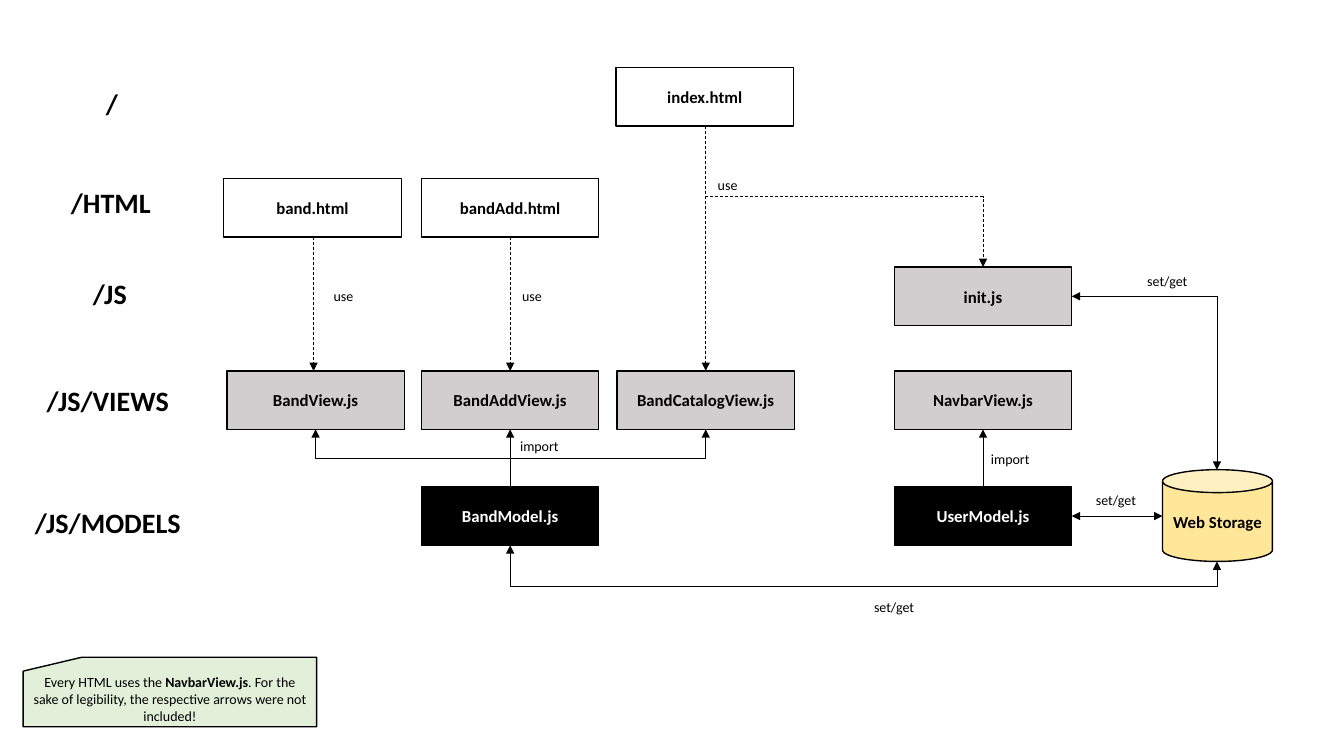
"""Draw the file map of the band site."""
from dataclasses import dataclass

import pptx
import pptx.util
import pptx.dml.color
import pptx.enum.dml
import pptx.enum.shapes
import pptx.enum.text
import pptx.oxml.ns
import pptx.oxml.xmlchemy

Inches = pptx.util.Inches
Kind = pptx.enum.shapes.MSO_SHAPE
Link = pptx.enum.shapes.MSO_CONNECTOR
Align = pptx.enum.text.PP_ALIGN
Node = pptx.oxml.xmlchemy.OxmlElement


@dataclass(frozen=True)
class Theme:
    """Hold colours, type and line sizes."""
    font: str = "Calibri"
    ink: str = "000000"
    page: str = "FFFFFF"
    view: str = "D0CECE"
    store: str = "FFE699"
    note: str = "E2F0D9"
    head: int = 20
    name: int = 12
    small: int = 10
    edge: float = 1
    wire: float = 0.5


def rgb(code):
    """Turn a hex code into a colour."""
    return pptx.dml.color.RGBColor.from_string(code)


def write(frame, text, font, size, color, bold=False, align=Align.LEFT):
    """Fill a frame with text; parts between bars switch the weight."""
    frame.word_wrap = True
    para = frame.paragraphs[0]
    para.alignment = align
    for i, part in enumerate(text.split("|")):
        run = para.add_run()
        run.text = part
        run.font.name = font
        run.font.size = pptx.util.Pt(size)
        run.font.bold = bold != bool(i % 2)
        run.font.color.rgb = rgb(color)


class Chart:
    """Draw styled parts on one slide."""

    def __init__(self, slide, theme):
        """Keep the slide and its theme."""
        self.shapes = slide.shapes
        self.theme = theme

    def box(self, text, x, y, w, h, fill, kind=Kind.RECTANGLE, **form):
        """Add a filled shape with centred text."""
        t = self.theme
        shape = self.shapes.add_shape(kind, Inches(x), Inches(y), Inches(w), Inches(h))
        shape.shadow.inherit = False
        shape.fill.solid()
        shape.fill.fore_color.rgb = rgb(fill)
        shape.line.color.rgb = rgb(t.ink)
        shape.line.width = pptx.util.Pt(t.edge)
        shape.text_frame.vertical_anchor = pptx.enum.text.MSO_ANCHOR.MIDDLE
        form = {"size": t.name, "color": t.ink, "bold": True} | form
        write(shape.text_frame, text, font=t.font, align=Align.CENTER, **form)

    def label(self, text, x, y, w=0.85, h=0.27, **form):
        """Add a plain text box."""
        t = self.theme
        frame = self.shapes.add_textbox(Inches(x), Inches(y), Inches(w), Inches(h)).text_frame
        frame.auto_size = pptx.enum.text.MSO_AUTO_SIZE.SHAPE_TO_FIT_TEXT
        write(frame, text, **({"font": t.font, "size": t.small, "color": t.ink} | form))

    def wire(self, x1, y1, x2, y2, kind=Link.STRAIGHT, dash=False, both=False):
        """Add an arrow and return it."""
        line = self.shapes.add_connector(kind, Inches(x1), Inches(y1), Inches(x2), Inches(y2))
        line.line.color.rgb = rgb(self.theme.ink)
        line.line.width = pptx.util.Pt(self.theme.wire)
        if dash:
            line.line.dash_style = pptx.enum.dml.MSO_LINE.DASH
        pen = line._element.spPr.find(pptx.oxml.ns.qn("a:ln"))
        for tag in ("a:headEnd", "a:tailEnd") if both else ("a:tailEnd",):
            end = Node(tag)
            end.set("type", "triangle")
            pen.append(end)
        line._element.spPr.append(Node("a:effectLst"))
        return line

    def bend(self, x1, y1, x2, y2, mid=None, **form):
        """Add an arrow that leaves upright and turns at mid, or once at the end."""
        w, h = abs(y2 - y1), abs(x2 - x1)
        left, top = (x1 + x2 - w) / 2, (y1 + y2 - h) / 2
        line = self.wire(left, top, left + w, top + h, Link.ELBOW, **form)
        spot = line._element.spPr.find(pptx.oxml.ns.qn("a:xfrm"))
        spot.set("rot", str((90 if y2 > y1 else 270) * 60000))
        if (x2 > x1) == (y2 > y1):
            spot.set("flipV", "1")
        shape = line._element.spPr.find(pptx.oxml.ns.qn("a:prstGeom"))
        if mid is None:
            shape.set("prst", "bentConnector2")
            return
        guide = Node("a:gd")
        guide.set("name", "adj1")
        guide.set("fmla", f"val {round((mid - y1) / (y2 - y1) * 100000)}")
        shape.find(pptx.oxml.ns.qn("a:avLst")).append(guide)


def main():
    """Build and save the slide."""
    deck = pptx.Presentation()
    deck.slide_width, deck.slide_height = Inches(13.33), Inches(7.5)
    t = Theme()
    art = Chart(deck.slides.add_slide(deck.slide_layouts[6]), t)

    wide, high = 1.76, 0.58
    band, add, cat, user = 2.25, 4.18, 6.12, 8.87
    root, html, init, view, model = 0.67, 1.77, 2.65, 3.68, 4.83
    mid_band, mid_add, mid_cat, mid_user = (x + wide / 2 for x in (band, add, cat, user))
    hub, roof, floor = 12.07, 4.66, 5.57

    for text, x, y, fill in (
        ("index.html", 6.11, root, t.page),
        ("band.html", 2.22, html, t.page),
        ("bandAdd.html", add, html, t.page),
        ("init.js", user, init, t.view),
        ("BandView.js", band, view, t.view),
        ("BandAddView.js", add, view, t.view),
        ("BandCatalogView.js", cat, view, t.view),
        ("NavbarView.js", user, view, t.view),
        ("BandModel.js", add, model, t.ink),
        ("UserModel.js", user, model, t.ink),
    ):
        art.box(text, x, y, wide, high, fill, color=t.page if fill == t.ink else t.ink)
    art.box("Web Storage", 11.53, roof, 1.09, floor - roof, t.store, Kind.CAN)
    art.box("Every HTML uses the |NavbarView.js|. For the sake of legibility, "
            "the respective arrows were not included!",
            0.23, 6.52, 2.91, 0.69, t.note, Kind.FLOWCHART_CARD, size=t.small, bold=False)

    for x, top in ((3.11, html), (mid_add, html), (mid_cat, root)):
        art.wire(x, top + high, x, view, dash=True)
    art.bend(mid_cat, root + high, mid_user, init, mid=1.95, dash=True)
    for x in (mid_add, mid_user):
        art.wire(x, model, x, view + high)
    for x in (mid_band, mid_cat):
        art.bend(mid_add, model, x, view + high, mid=(model + view + high) / 2)
    art.wire(user + wide, 5.12, 11.53, 5.12, both=True)
    art.bend(mid_add, model + high, hub, floor, mid=5.82, both=True)
    art.bend(hub, roof, user + wide, init + high / 2, both=True)

    for text, x, y in (
        ("use", 3.21, 2.8), ("use", 5.08, 2.8), ("use", 7.02, 1.7),
        ("import", 5.06, 4.29), ("import", 9.73, 4.42),
        ("set/get", 8.57, 5.89), ("set/get", 10.77, 4.83), ("set/get", 11.28, 2.65),
    ):
        art.label(text, x, y)
    for text, x, y in (
        ("/", 0.18, 0.81), ("/HTML", 0.17, 1.79), ("/JS", 0.16, 2.69),
        ("/JS/VIEWS", 0.14, 3.76), ("/JS/MODELS", 0.14, 4.97),
    ):
        art.label(text, x, y, 1.86, 0.44, size=t.head, bold=True, align=Align.CENTER)

    deck.save("out.pptx")


main()
